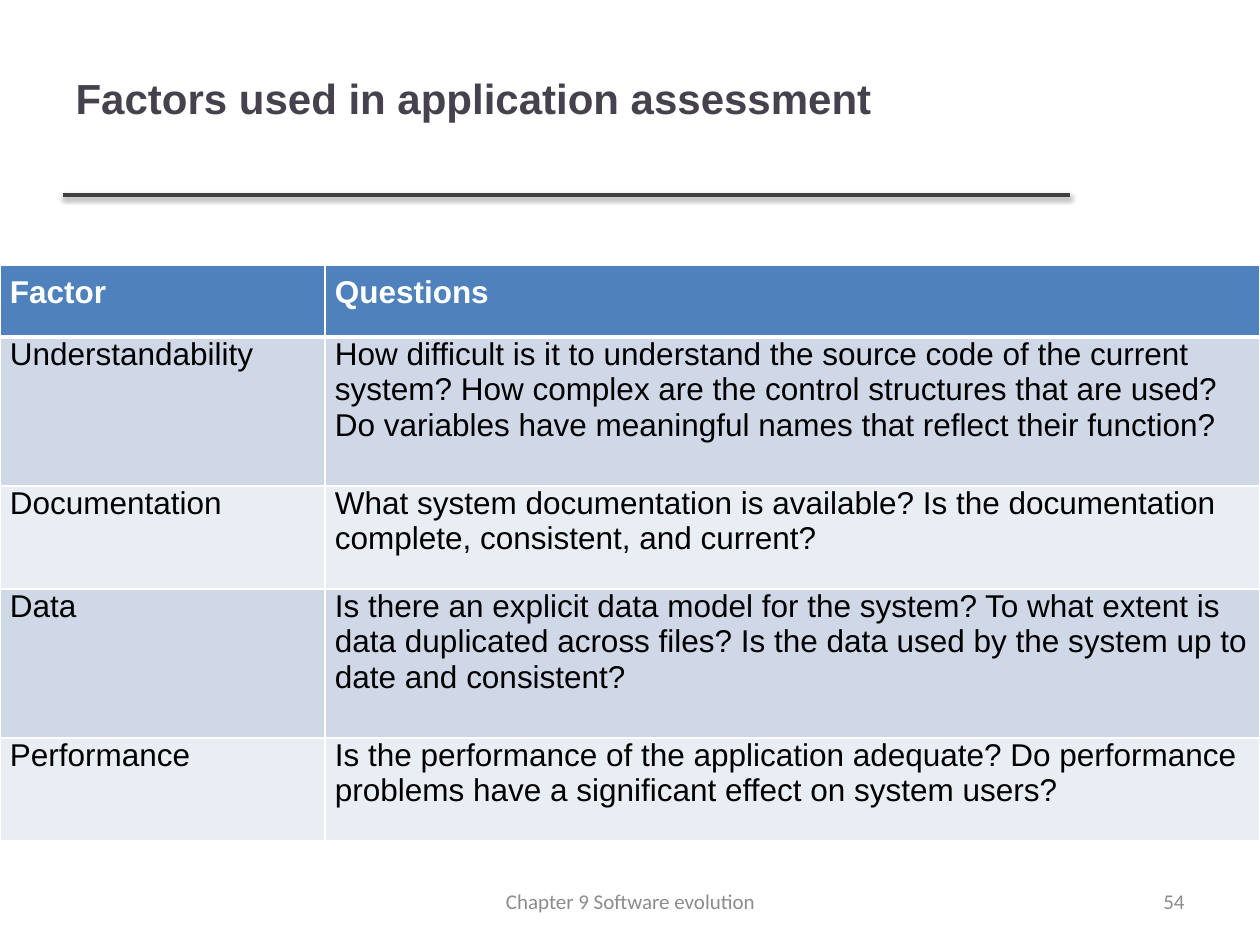
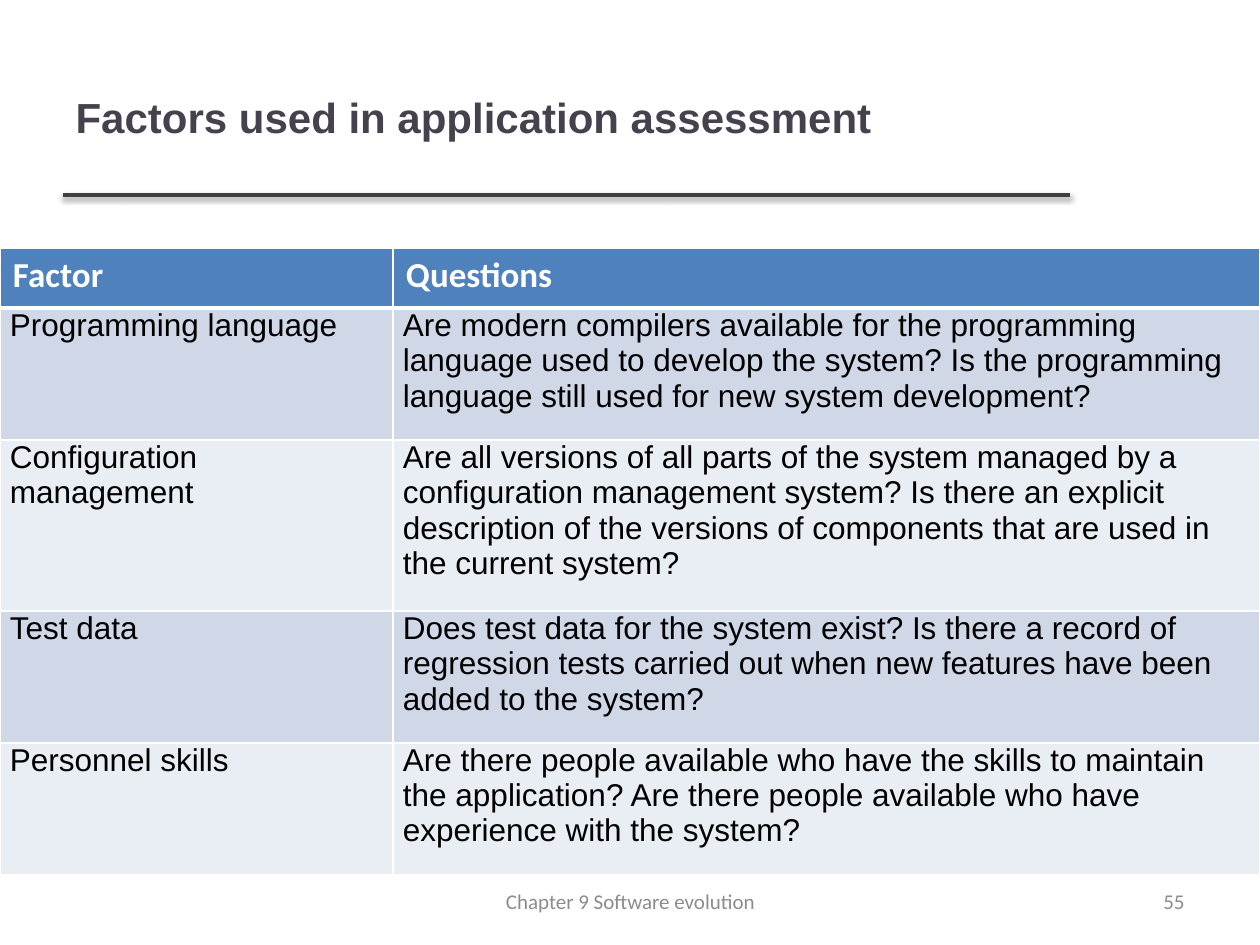
from lxml.etree import SubElement
from pptx import Presentation
from pptx.dml.color import RGBColor
from pptx.enum.shapes import MSO_CONNECTOR
from pptx.enum.text import MSO_ANCHOR, MSO_AUTO_SIZE, PP_ALIGN
from pptx.oxml.ns import qn
from pptx.util import Emu, Pt

PX_PER_INCH = 126
WIDTH, HEIGHT = 1260, 945

WHITE = RGBColor(0xFF, 0xFF, 0xFF)
BLACK = RGBColor(0x00, 0x00, 0x00)
TITLE_COLOR = RGBColor(0x46, 0x42, 0x4D)
RULE_COLOR = RGBColor(0x40, 0x40, 0x40)
FOOTER_COLOR = RGBColor(0x8C, 0x8C, 0x8C)
HEADER_FILL = RGBColor(0x4F, 0x81, 0xBD)
BAND_FILLS = (RGBColor(0xD0, 0xD8, 0xE8), RGBColor(0xE9, 0xED, 0xF4))

TITLE = "Factors used in application assessment"
FOOTER = "Chapter 9 Software evolution"
HEADINGS = ("Factor", "Questions")
RULE_BOX = (63, 195, 1007, 0)
FOOTER_BOX = (431, 876, 399, 50)
NUMBER_BOX = (903, 876, 294, 50)
BODY_STYLE = dict(size=18, font="Arial", color=BLACK, space_after=6)
BODY_INSETS = (10, 0, 10, 10)

SLIDES = [
    dict(
        number=54,
        title_box=(63, 19, 1134, 157),
        table_box=(0, 265, 1260, 576),
        factor_width=325,
        row_heights=(72, 149, 103, 149, 103),
        header_style=dict(size=18, font="Arial", space_after=6),
        header_insets=(10, 10, 10, 10),
        rows=[
            ("Understandability",
             "How difficult is it to understand the source code of the current system? "
             "How complex are the control structures that are used? "
             "Do variables have meaningful names that reflect their function?"),
            ("Documentation",
             "What system documentation is available? "
             "Is the documentation complete, consistent, and current?"),
            ("Data",
             "Is there an explicit data model for the system? "
             "To what extent is data duplicated across files? "
             "Is the data used by the system up to date and consistent?"),
            ("Performance",
             "Is the performance of the application adequate? "
             "Do performance problems have a significant effect on system users?"),
        ],
    ),
    dict(
        number=55,
        title_box=(63, 38, 1006, 157),
        table_box=(0, 248, 1260, 627),
        factor_width=393,
        row_heights=(60, 132, 171, 132, 132),
        header_style=dict(size=20, font="Calibri"),
        header_insets=(13, 6, 13, 6),
        rows=[
            ("Programming language",
             "Are modern compilers available for the programming language used to "
             "develop the system? "
             "Is the programming language still used for new system development?"),
            ("Configuration management",
             "Are all versions of all parts of the system managed by a configuration "
             "management system? Is there an explicit description of the versions of "
             "components that are used in the current system?"),
            ("Test data",
             "Does test data for the system exist? Is there a record of regression "
             "tests carried out when new features have been added to the system?"),
            ("Personnel skills",
             "Are there people available who have the skills to maintain the application? "
             "Are there people available who have experience with the system?"),
        ],
    ),
]


def px(value):
    return Emu(round(value * 914400 / PX_PER_INCH))


def set_text(tf, text, size, font, color, bold=False, align=PP_ALIGN.LEFT, space_after=0):
    tf.word_wrap = True
    p = tf.paragraphs[0]
    p.alignment = align
    p.space_before = Pt(0)
    p.space_after = Pt(space_after)
    r = p.add_run()
    r.text = text
    r.font.size = Pt(size)
    r.font.name = font
    r.font.bold = bold
    r.font.color.rgb = color


def add_title(s, box, text):
    sp = s.shapes.title
    sp.left, sp.top, sp.width, sp.height = map(px, box)
    tf = sp.text_frame
    tf.auto_size = MSO_AUTO_SIZE.NONE
    tf.vertical_anchor = MSO_ANCHOR.MIDDLE
    set_text(tf, text, size=24, font="Arial", color=TITLE_COLOR, bold=True)


def add_rule(s, box):
    x, y, w, h = box
    line = s.shapes.add_connector(MSO_CONNECTOR.STRAIGHT, px(x), px(y), px(x + w), px(y + h))
    line.line.color.rgb = RULE_COLOR
    line.line.width = Pt(2)
    effects = SubElement(line._element.spPr, qn("a:effectLst"))
    shadow = SubElement(effects, qn("a:outerShdw"), blurRad=str(Pt(3.1)), dist=str(Pt(1.6)),
                        dir="5400000", rotWithShape="0")
    color = SubElement(shadow, qn("a:srgbClr"), val=str(BLACK))
    SubElement(color, qn("a:alpha"), val="38000")


def add_label(s, box, text, align):
    tf = s.shapes.add_textbox(*map(px, box)).text_frame
    tf.vertical_anchor = MSO_ANCHOR.MIDDLE
    set_text(tf, text, size=12, font="Calibri", color=FOOTER_COLOR, align=align)


def set_borders(cell, top, bottom):
    tc_pr = cell._tc.get_or_add_tcPr()
    for side, width in (("L", 1), ("R", 1), ("T", top), ("B", bottom)):
        ln = SubElement(tc_pr, qn(f"a:ln{side}"), w=str(Pt(width)))
        fill = SubElement(ln, qn("a:solidFill"))
        SubElement(fill, qn("a:srgbClr"), val=str(WHITE))


def format_cell(cell, text, row, insets, fill, style):
    margins = map(px, insets)
    cell.margin_left, cell.margin_top, cell.margin_right, cell.margin_bottom = margins
    set_borders(cell, top=3 if row == 1 else 1, bottom=3 if row == 0 else 1)
    cell.fill.solid()
    cell.fill.fore_color.rgb = fill
    set_text(cell.text_frame, text, **style)


def add_factor_table(s, box, factor_width, row_heights, rows, header_style, header_insets):
    table = s.shapes.add_table(len(row_heights), len(HEADINGS), *map(px, box)).table
    for column, width in zip(table.columns, (factor_width, box[2] - factor_width)):
        column.width = px(width)
    for i, (height, texts) in enumerate(zip(row_heights, [HEADINGS, *rows])):
        table.rows[i].height = px(height)
        if i == 0:
            insets, fill = header_insets, HEADER_FILL
            style = dict(header_style, color=WHITE, bold=True)
        else:
            insets, fill, style = BODY_INSETS, BAND_FILLS[(i - 1) % 2], BODY_STYLE
        for j, text in enumerate(texts):
            format_cell(table.cell(i, j), text, i, insets, fill, style)


def add_factor_slide(prs, number, title_box, table_box, **table):
    s = prs.slides.add_slide(prs.slide_layouts[5])
    add_rule(s, RULE_BOX)
    add_title(s, title_box, TITLE)
    add_factor_table(s, table_box, **table)
    add_label(s, NUMBER_BOX, str(number), PP_ALIGN.RIGHT)
    add_label(s, FOOTER_BOX, FOOTER, PP_ALIGN.CENTER)


def main():
    prs = Presentation()
    prs.slide_width, prs.slide_height = px(WIDTH), px(HEIGHT)
    for content in SLIDES:
        add_factor_slide(prs, **content)
    prs.save("out.pptx")


if __name__ == "__main__":
    main()
